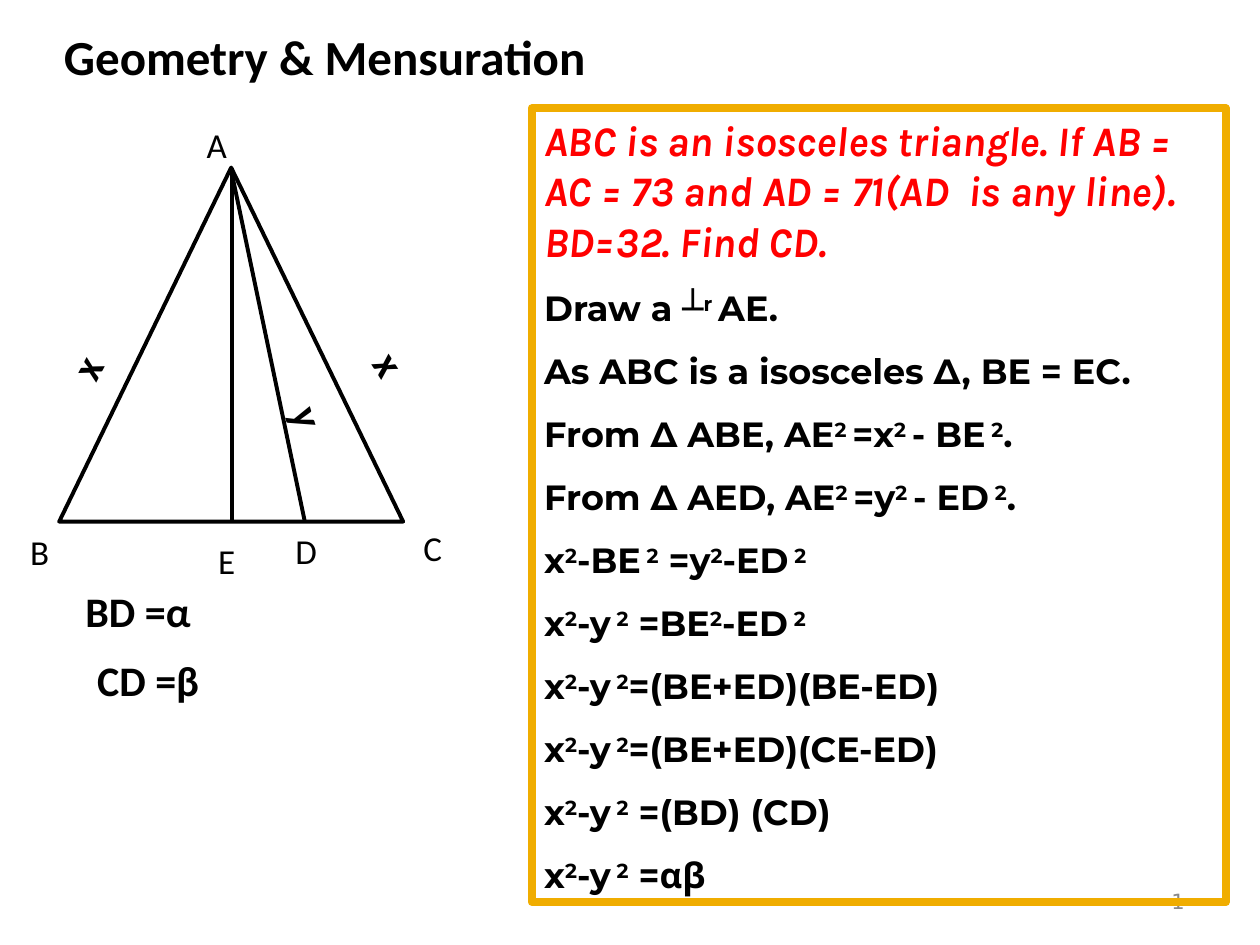
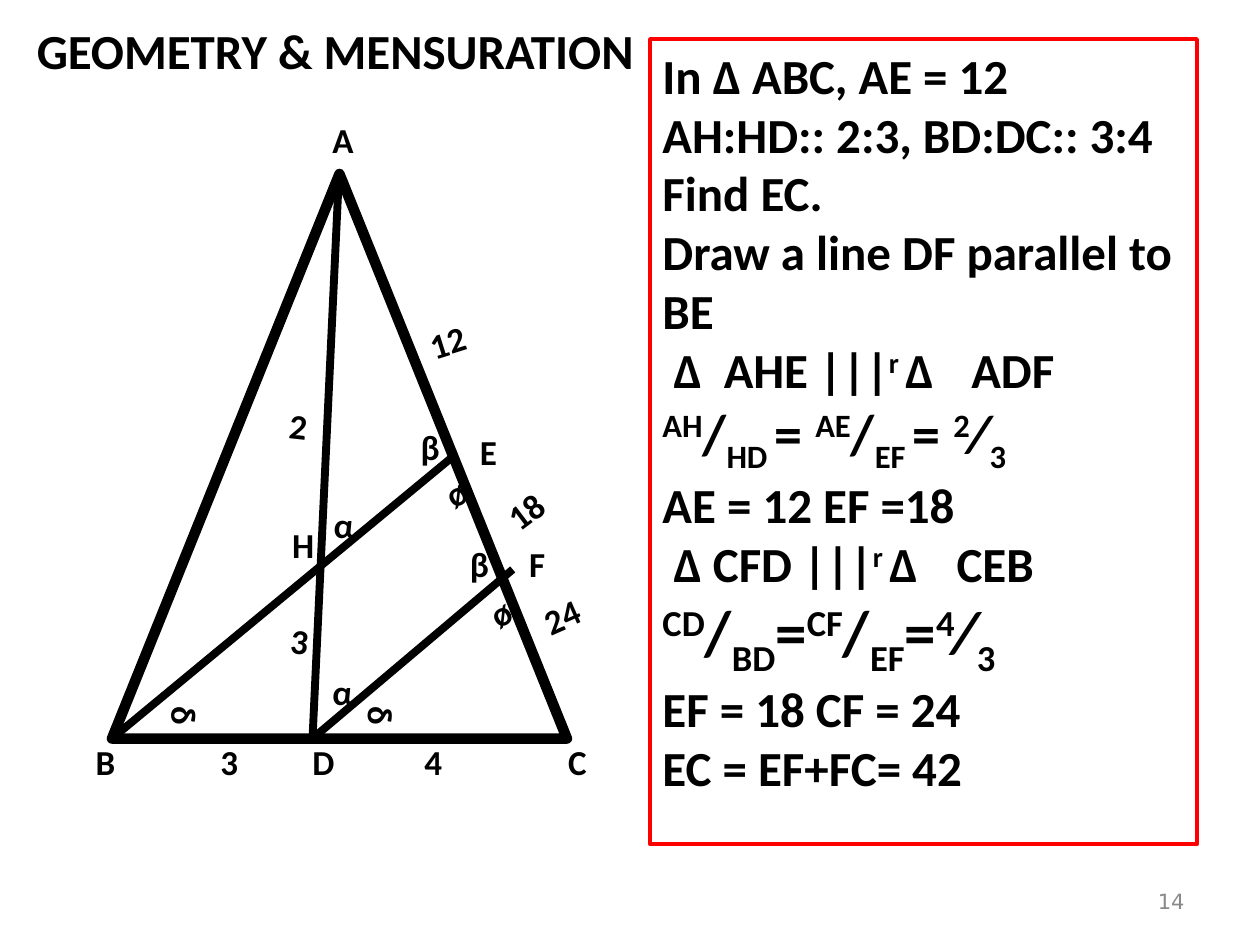
"""Build two geometry slides, each a triangle figure beside a framed solution."""
import pptx
import pptx.dml.color
import pptx.enum.shapes
import pptx.enum.text
import pptx.oxml.ns
import pptx.util
from lxml import etree

Pt = pptx.util.Pt
Color = pptx.dml.color.RGBColor
Shape = pptx.enum.shapes.MSO_SHAPE
Align = pptx.enum.text.PP_ALIGN
Anchor = pptx.enum.text.MSO_ANCHOR
qn = pptx.oxml.ns.qn

BLACK = Color(0x00, 0x00, 0x00)
WHITE = Color(0xFF, 0xFF, 0xFF)
RED = Color(0xFF, 0x00, 0x00)
GOLD = Color(0xF0, 0xAD, 0x00)
GREY = Color(0x89, 0x89, 0x89)
SHIFT = {"^": "30000", "_": "-25000"}


def say(par, text, size, font="Calibri", tint=BLACK, bold=True, slant=False):
    """Add runs; ^ raises, _ lowers and ~ returns to the base line."""
    for part in text.replace("^", "~^").replace("_", "~_").split("~"):
        if not part:
            continue
        run = par.add_run()
        run.text = part.lstrip("^_")
        run.font.size = Pt(size)
        run.font.name = font
        run.font.bold = bold
        run.font.italic = slant
        run.font.color.rgb = tint
        if part[0] in SHIFT:
            run.font._element.set("baseline", SHIFT[part[0]])


def label(slide, left, top, wide, high, turn=0, align=Align.CENTER):
    """Add a wrapped text box and return its paragraph."""
    box = slide.shapes.add_textbox(Pt(left), Pt(top), Pt(wide), Pt(high))
    box.rotation = turn
    box.text_frame.word_wrap = True
    box.text_frame.vertical_anchor = Anchor.MIDDLE
    par = box.text_frame.paragraphs[0]
    par.alignment = align
    return par


deck = pptx.Presentation()
deck.slide_width, deck.slide_height = Pt(720), Pt(540)
first, second = [deck.slides.add_slide(deck.slide_layouts[6]) for _ in range(2)]

for slide, page in [(first, "1"), (second, "14")]:
    par = label(slide, 516, 500.4, 168, 28.8, align=Align.RIGHT)
    say(par, page, 12, "DejaVu Sans", GREY, False)

par = label(first, 29.5, 11.5, 313, 41, align=Align.LEFT)
say(par, "Geometry & Mensuration", 28)
par = label(second, 11.5, 11.5, 360, 34)
say(par, "GEOMETRY & MENSURATION", 28)

figures = [
    (first, (33.84, 95.76, 196.56, 202.3), 2.25, 2.25, [
        (131.8, 95.8, 174.2, 298.1), (132.4, 95.8, 132.4, 298.1)]),
    (second, (64, 99.4, 260, 322.6), 6, 4.5, [
        (193.7, 99.4, 178.6, 422), (259.2, 260.6, 64, 422),
        (293, 325.4, 178.6, 422)]),
]
for slide, place, edge, width, lines in figures:
    tri = slide.shapes.add_shape(Shape.ISOSCELES_TRIANGLE, *map(Pt, place))
    tri.shadow.inherit = False
    tri.fill.background()
    tri.line.color.rgb = BLACK
    tri.line.width = Pt(edge)
    for ends in lines:
        line = slide.shapes.add_connector(
            pptx.enum.shapes.MSO_CONNECTOR.STRAIGHT, *map(Pt, ends))
        line.line.color.rgb = BLACK
        line.line.width = Pt(width)
        etree.SubElement(line._element.spPr, qn("a:effectLst"))

frames = []
for slide, place, tint, width in [
        (first, (303.84, 61.92, 396.72, 453.6), GOLD, 4.5),
        (second, (371.52, 22.32, 312.48, 460.08), RED, 2.25)]:
    rect = slide.shapes.add_shape(Shape.RECTANGLE, *map(Pt, place))
    rect.shadow.inherit = False
    rect.fill.background()
    rect.line.color.rgb = tint
    rect.line.width = Pt(width)
    rect.text_frame.word_wrap = True
    rect.text_frame.vertical_anchor = Anchor.TOP
    frames.append(rect.text_frame)

proof, ratio = frames
par = proof.paragraphs[0]
par.alignment = Align.LEFT
say(par, "ABC is an isosceles triangle. If AB = AC = 73 and AD = 71(AD  is any line). "
    "BD=32. Find CD.", 24, "Karla", RED, slant=True)
for step in [
        "Draw a ┴^r ~AE.",
        "As ABC is a isosceles ∆, BE = EC.",
        "From ∆ ABE, AE^2 ~=x^2 ~- BE^ 2~.",
        "From ∆ AED, AE^2 ~=y^2 ~- ED^ 2~.",
        "x^2~-BE^ 2~ =y^2~-ED^ 2",
        "x^2~-y^ 2~ =BE^2~-ED^ 2",
        "x^2~-y^ 2~=(BE+ED)(BE-ED)",
        "x^2~-y^ 2~=(BE+ED)(CE-ED)",
        "x^2~-y^ 2~ =(BD) (CD)",
        "x^2~-y^ 2~ =αβ"]:
    par = proof.add_paragraph()
    par.alignment = Align.LEFT
    par.line_spacing = 1.5
    say(par, step, 20, "Montserrat")

steps = [
    ("In ∆ ABC, AE = 12", 28, []),
    ("AH:HD:: 2:3, BD:DC:: 3:4", 28, []),
    ("Find EC.", 28, []),
    ("Draw a line DF parallel to BE", 28, []),
    (" ∆\tAHE |||^r ~∆\tADF", 28, [35, 176.5]),
    ("^AH~/_HD ~= ^AE~/_EF ~= ^2~⁄_3", 32, []),
    ("AE = 12 EF =18", 28, []),
    (" ∆ CFD |||^r ~∆\tCEB", 28, [168]),
    ("^CD~/_BD~=^CF~/_EF~=^4~⁄_3", 36, []),
    ("EF = 18 CF = 24", 28, []),
    ("EC = EF+FC= 42", 28, []),
]
for count, (text, size, stops) in enumerate(steps):
    par = ratio.add_paragraph() if count else ratio.paragraphs[0]
    par.alignment = Align.LEFT
    if stops:
        tabs = etree.SubElement(par._p.get_or_add_pPr(), qn("a:tabLst"))
        for stop in stops:
            etree.SubElement(tabs, qn("a:tab"), pos=str(int(Pt(stop))), algn="l")
    say(par, text, size)

for text, *place in [
        ("A", 101.5, 63.4, 44.6, 38.2), ("B", 5.8, 303.8, 33.8, 22.3),
        ("C", 230.4, 299.5, 33.8, 26.6), ("D", 158.4, 303.8, 33.1, 21.6),
        ("E", 113, 309.6, 33.1, 21.6)]:
    say(label(first, *place), text, 20, bold=False)

for text, *place in [
        ("y", 157.7, 213.1, 38.2, 50.4, 72.9), ("x", 28.8, 190.1, 40.3, 38.9, 297.6),
        ("x", 192.2, 182.9, 61.9, 49.7, 57.5), ("BD =α", 39.6, 331.9, 78.5, 33.8),
        ("CD =β", 45.4, 371.5, 78.5, 33.8)]:
    say(label(first, *place), text, 24)

SIDE = 20.2
BASE = 424.8
for text, left, top, turn in [
        ("A", 182.9, 69.8, 0), ("B", 47.5, BASE, 0), ("3", 118.8, BASE, 0),
        ("D", 171.4, BASE, 0), ("4", 235.4, BASE, 0), ("C", 317.5, BASE, 0),
        ("H", 159.8, 301, 0), ("F", 295.2, 311.8, 0), ("E", 267.1, 247.7, 0),
        ("α", 183.6, 289.4, 0), ("α", 182.9, 385.2, 0),
        ("β", 233.3, 244.8, 0), ("β", 261.4, 311.8, 0),
        ("ø", 273.6, 341.3, 330.2), ("ø", 248, 272.5, 330.2),
        ("δ", 208.1, 396.7, 90), ("δ", 95.8, 396.7, 90),
        ("2", 158.4, 232.6, 6.3), ("3", 159.1, 355.7, 6.3)]:
    say(label(second, left, top, SIDE, SIDE, turn), text, 20)

for text, *place in [
        ("12", 233.3, 182.9, 44.6, 24.5, 342.5), ("18", 273.6, 284.4, 53.3, 15.1, 323),
        ("24", 301.7, 339.1, 38.2, 25.9, 336.3)]:
    say(label(second, *place), text, 20)

deck.save("out.pptx")
